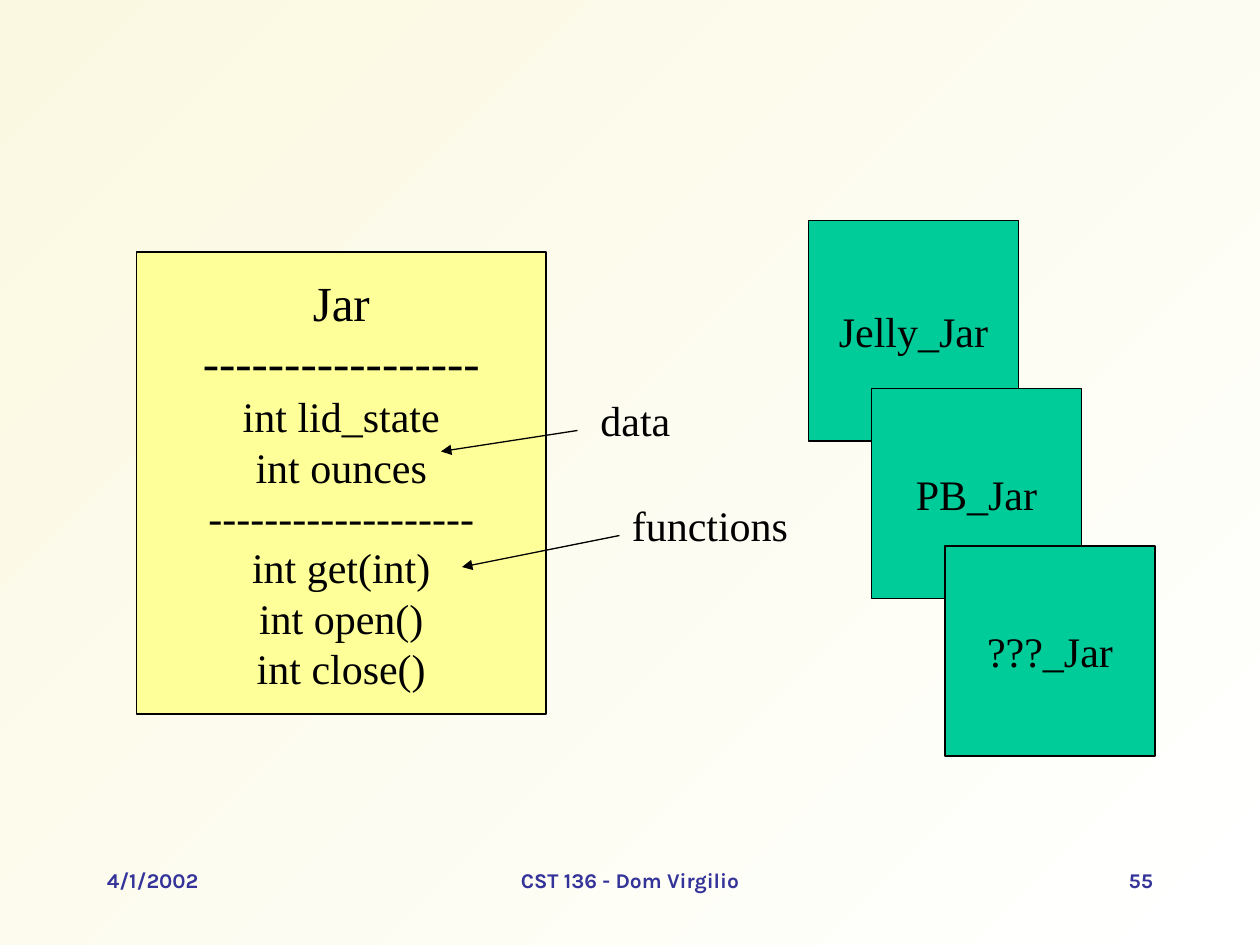
"""Build the Jar class diagram slide on a grid of 120 columns by 90 rows."""
import pptx
import pptx.util
import pptx.dml.color
import pptx.enum.shapes
import pptx.enum.text
import pptx.oxml.ns
from lxml import etree

COLORS = {"ink": "000000", "class": "FFFF99", "object": "00CC99",
          "footer": "333399", "white": "FFFFFF", "cream": "FBF8E1"}
RGB = {k: pptx.dml.color.RGBColor.from_string(v) for k, v in COLORS.items()}
ALIGN = pptx.enum.text.PP_ALIGN
Pt = pptx.util.Pt

prs = pptx.Presentation()
prs.slide_width, prs.slide_height = pptx.util.Inches(10), pptx.util.Inches(7.5)
COL, ROW = prs.slide_width / 120, prs.slide_height / 90
s = prs.slides.add_slide(prs.slide_layouts[6])


def grid(x, y, *size):
    """Turn columns and rows into lengths."""
    return [round(v * unit) for v, unit in zip((x, y, *size), (COL, ROW, COL, ROW))]


def write(sp, lines, align, wrap, color="ink", name="Times New Roman", bold=False):
    """Fill a shape with (text, size) lines."""
    tf = sp.text_frame
    tf.word_wrap = wrap
    for i, (text, size) in enumerate(lines):
        p = tf.paragraphs[0] if i == 0 else tf.add_paragraph()
        p.alignment = align
        r = p.add_run()
        r.text = text
        for key, value in {"name": name, "size": Pt(size), "bold": bold}.items():
            setattr(r.font, key, value)
        r.font.color.rgb = RGB[color]


fill = s.background.fill
fill.gradient()
fill.gradient_angle = 135
for stop, color in zip(fill.gradient_stops, ("white", "cream")):
    stop.color.rgb = RGB[color]

jar_lines = [("Jar", 28), ("-" * 17, 28)] + [(text, 24) for text in (
    "int lid_state", "int ounces", "-" * 19,
    "int get(int)", "int open()", "int close()")]
boxes = [
    ((13, 24, 39, 44), "class", jar_lines),
    ((77, 21, 20, 21), "object", [("Jelly_Jar", 24)]),
    ((83, 37, 20, 20), "object", [("PB_Jar", 24)]),
    ((90, 52, 20, 20), "object", [("???_Jar", 24)]),
]
for cell, color, lines in boxes:
    sp = s.shapes.add_shape(pptx.enum.shapes.MSO_SHAPE.RECTANGLE, *grid(*cell))
    sp.shadow.inherit = False
    sp.fill.solid()
    sp.fill.fore_color.rgb = RGB[color]
    sp.line.color.rgb = RGB["ink"]
    sp.line.width = Pt(0.75)
    sp.text_frame.vertical_anchor = pptx.enum.text.MSO_ANCHOR.MIDDLE
    write(sp, lines, ALIGN.CENTER, False)

for start, end in [((55, 41), (42, 43)), ((59, 51), (44, 54))]:
    arrow = s.shapes.add_connector(pptx.enum.shapes.MSO_CONNECTOR.STRAIGHT,
                                   *grid(*start), *grid(*end))
    arrow.line.color.rgb = RGB["ink"]
    arrow.line.width = Pt(0.75)
    etree.SubElement(arrow.line._get_or_add_ln(),
                     pptx.oxml.ns.qn("a:tailEnd"), type="triangle")
    etree.SubElement(arrow._element.spPr, pptx.oxml.ns.qn("a:effectLst"))

for text, cell, wrap in [("data", (56, 37, 14, 6), True),
                         ("functions", (59, 47, 17.3, 6), False)]:
    sp = s.shapes.add_textbox(*grid(*cell))
    write(sp, [(text, 24)], ALIGN.LEFT, wrap)

for text, x, width, align in [("4/1/2002", 9, 25, ALIGN.LEFT),
                              ("CST 136 - Dom Virgilio", 41, 38, ALIGN.CENTER),
                              ("55", 86, 25, ALIGN.RIGHT)]:
    sp = s.shapes.add_textbox(*grid(x, 82, width, 6))
    write(sp, [(text, 12)], align, True, "footer", "Karla", True)

prs.save("out.pptx")
